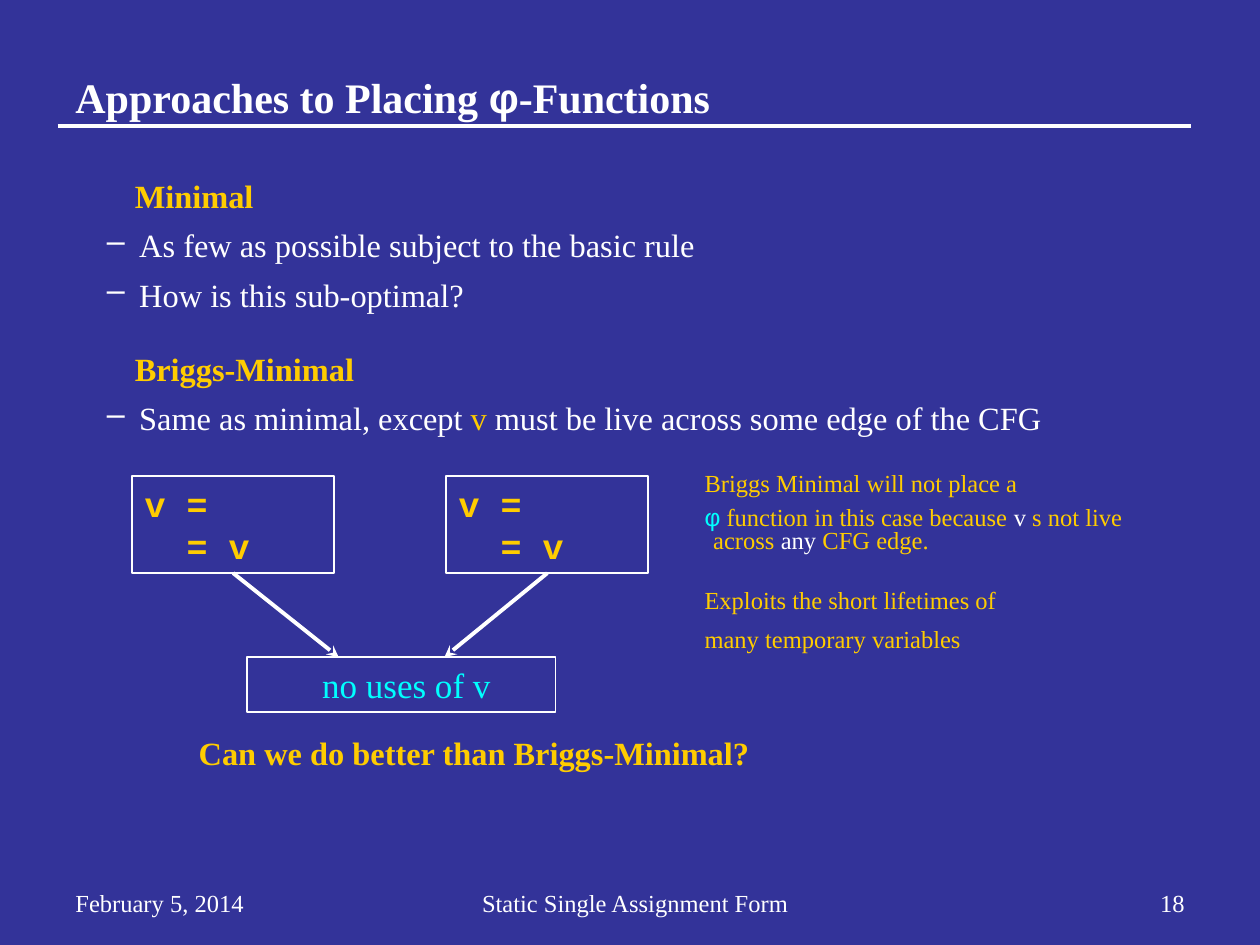
from lxml.etree import SubElement
from pptx import Presentation
from pptx.dml.color import RGBColor
from pptx.enum.shapes import MSO_CONNECTOR, MSO_SHAPE
from pptx.enum.text import MSO_ANCHOR, PP_ALIGN
from pptx.oxml.ns import qn
from pptx.util import Pt

SERIF, SANS, MONO = "Times New Roman", "Arial", "Courier New"
BLUE, WHITE, GOLD, CYAN = "333399", "FFFFFF", "FFCC00", "00FFFF"
THEME = {
    "title": (SERIF, 24, WHITE, True),
    "phi": (SANS, 24, WHITE, True),
    "head": (SERIF, 18.5, GOLD, True),
    "item": (SERIF, 18.5, WHITE, False),
    "name": (SERIF, 18.5, GOLD, False),
    "code": (MONO, 20, GOLD, True),
    "use": (SERIF, 20, CYAN, False),
    "note": (SERIF, 14, GOLD, False),
    "mark": (SERIF, 14, WHITE, False),
    "sign": (SANS, 14, CYAN, False),
    "foot": (SERIF, 14, WHITE, False),
}

DASH = {"left": 36.5, "hang": -18.5, "dash": True, "gap": 6}
HANG = {"left": 5, "hang": -5}
TITLE = [([("Approaches to Placing ", "title"), ("φ", "phi"),
           ("-Functions", "title")], {})]
BODY = [
    ([("Minimal", "head")], {"left": 34}),
    ([("As few as possible subject to the basic rule", "item")], DASH),
    ([("How is this sub-optimal?", "item")], DASH),
    ([("Briggs-Minimal", "head")], {"left": 34, "gap": 20}),
    ([("Same as minimal, except ", "item"), ("v", "name"),
      (" must be live across some edge of the CFG", "item")], DASH),
    ([("Can we do better than Briggs-Minimal?", "head")],
     {"left": 70.5, "gap": 169}),
]
NOTE = [
    ([("Briggs Minimal will not place a", "note")], HANG),
    ([("φ", "sign"), (" function in this case because ", "note"),
      ("v", "mark"), (" s not live across ", "note"), ("any", "mark"),
      (" CFG edge.", "note")], {**HANG, "gap": 5.6, "pitch": 0.8}),
    ([("Exploits the short lifetimes of", "note")], {**HANG, "gap": 17.6}),
    ([("many temporary variables", "note")], {**HANG, "gap": 5.6}),
]
CODE = [([("v =", "code")], {}), ([("= v", "code")], {"left": 24})]
USE = [([("no uses of v", "use")], {"left": 36})]
FOOT = [
    ("February 5, 2014", 36, 132, PP_ALIGN.LEFT),
    ("Static Single Assignment Form", 192, 342, PP_ALIGN.CENTER),
    ("18", 618, 66, PP_ALIGN.RIGHT),
]
EDGES = [((75.5, 272, 115.5, 55.5), 193.5), ((255, 272, 115.5, 55.5), 254)]
JOIN = (141, 375.5, 176.5, 31.5)


def tint(code):
    return RGBColor.from_string(code)


def write(frame, paras, side=PP_ALIGN.LEFT):
    frame.word_wrap = True
    for spot, (runs, form) in enumerate(paras):
        para = frame.add_paragraph() if spot else frame.paragraphs[0]
        para.alignment = side
        para.space_before = Pt(form.get("gap", 0))
        para.line_spacing = form.get("pitch", 1.0)
        props = para._p.get_or_add_pPr()
        props.set("marL", str(Pt(form.get("left", 0))))
        props.set("indent", str(Pt(form.get("hang", 0))))
        if form.get("dash"):
            SubElement(props, qn("a:buChar")).set("char", "–")
        for text, style in runs:
            run = para.add_run()
            run.text = text
            face, size, code, bold = THEME[style]
            font = run.font
            font.name, font.size, font.bold = face, Pt(size), bold
            font.color.rgb = tint(code)


def label(slide, place, paras, side=PP_ALIGN.LEFT, anchor=MSO_ANCHOR.TOP):
    frame = slide.shapes.add_textbox(*map(Pt, place)).text_frame
    frame.vertical_anchor = anchor
    write(frame, paras, side)


def block(slide, place, paras):
    shape = slide.shapes.add_shape(MSO_SHAPE.RECTANGLE, *map(Pt, place))
    shape.shadow.inherit = False
    shape.fill.solid()
    shape.fill.fore_color.rgb = tint(BLUE)
    shape.line.color.rgb = tint(WHITE)
    shape.line.width = Pt(1)
    shape.text_frame.vertical_anchor = MSO_ANCHOR.TOP
    write(shape.text_frame, paras)
    return shape


def rule(slide, ends, width):
    line = slide.shapes.add_connector(MSO_CONNECTOR.STRAIGHT, *map(Pt, ends))
    line.line.color.rgb = tint(WHITE)
    line.line.width = Pt(width)
    SubElement(line._element.spPr, qn("a:effectLst"))
    return line


def main():
    deck = Presentation()
    deck.slide_width, deck.slide_height = Pt(720), Pt(540)
    slide = deck.slides.add_slide(deck.slide_layouts[6])
    back = slide.background.fill
    back.solid()
    back.fore_color.rgb = tint(BLUE)

    rule(slide, (33, 72, 680.5, 72), 2)
    for text, left, width, side in FOOT:
        label(slide, (left, 504, width, 25), [([(text, "foot")], {})], side)
    label(slide, (36, 30, 648, 50.5), TITLE, anchor=MSO_ANCHOR.MIDDLE)
    label(slide, (36, 97, 648, 401), BODY)

    block(slide, JOIN, USE)
    for place, end in EDGES:
        left, top, width, height = place
        shape = block(slide, place, CODE)
        start = (left + width / 2, top + height)
        line = rule(slide, (*start, end, JOIN[1]), 2.25)
        line.begin_connect(shape, 2)
        SubElement(line.line._get_or_add_ln(), qn("a:tailEnd")).set("type", "stealth")
    label(slide, (395.5, 264, 286, 119), NOTE)
    deck.save("out.pptx")


if __name__ == "__main__":
    main()
